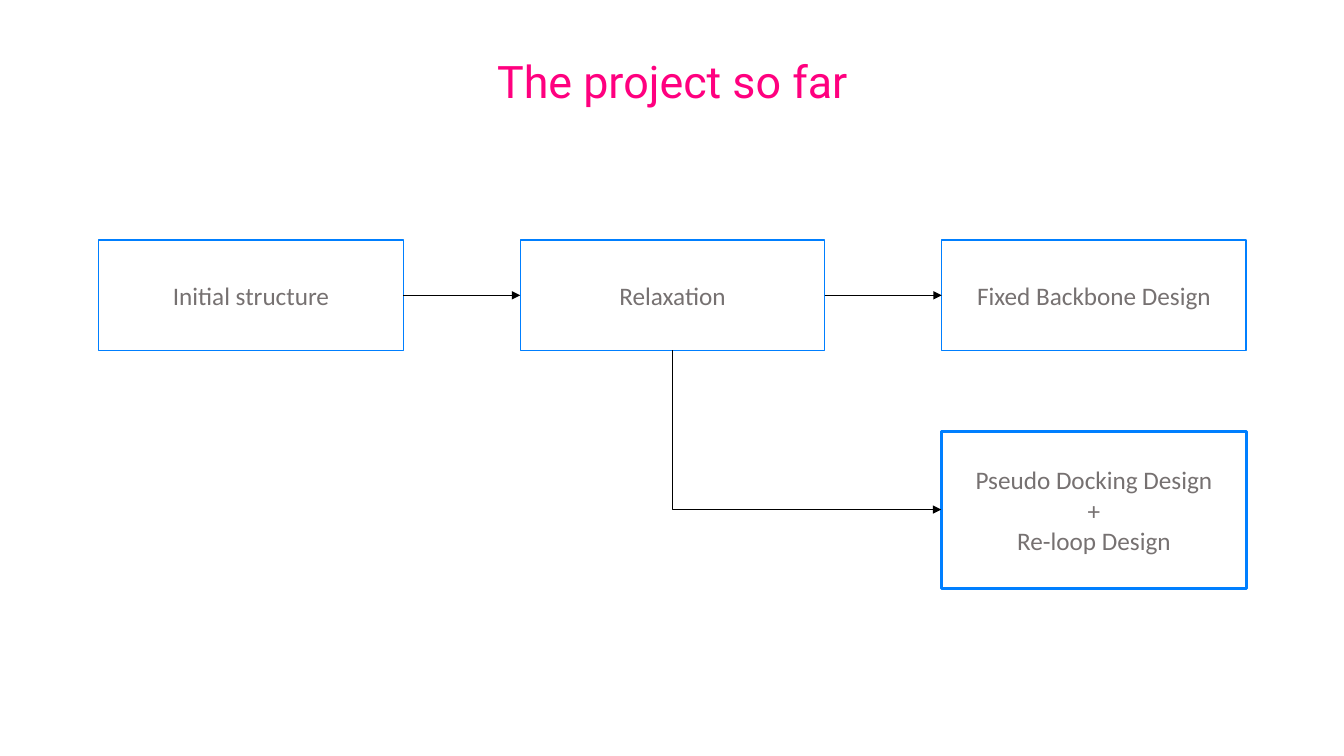
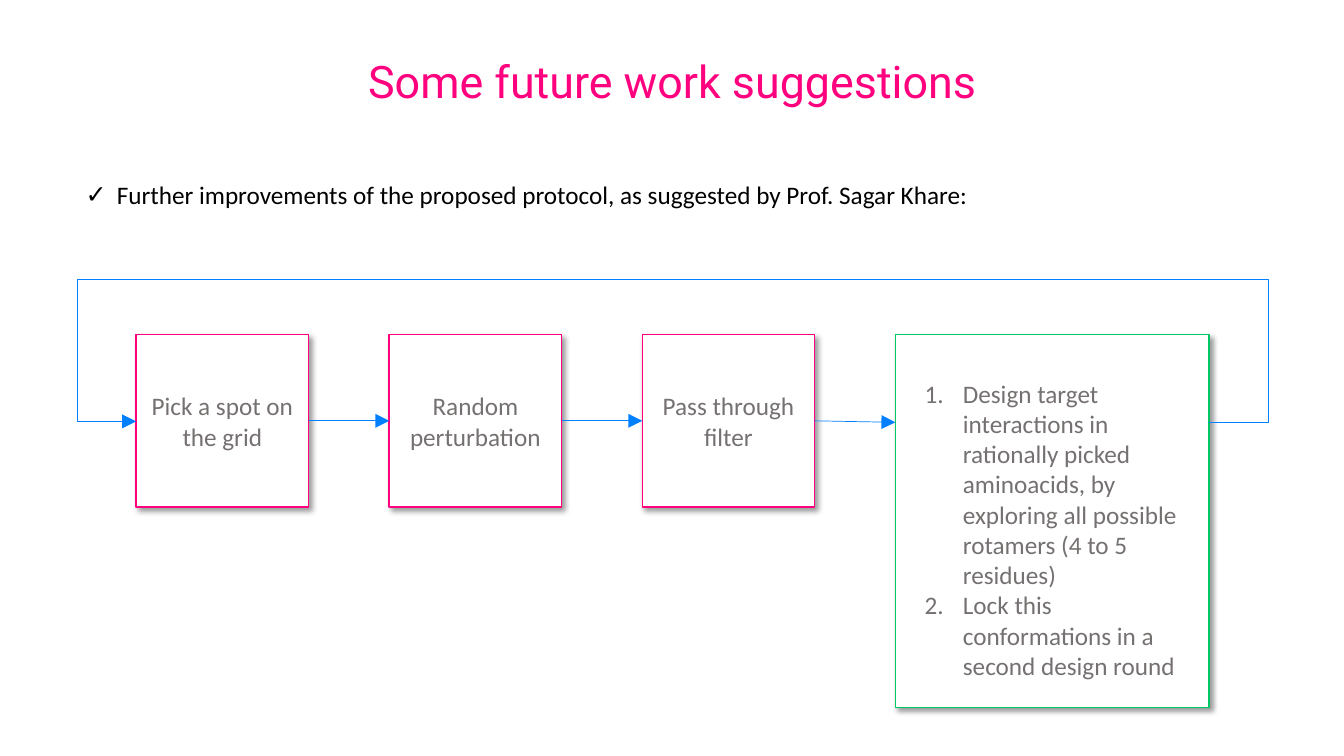
from lxml import etree
from pptx import Presentation
from pptx import util as u
from pptx.dml.color import RGBColor
from pptx.enum import shapes, text
from pptx.oxml import ns

PX = 9144
PINK = RGBColor(0xFF, 0x00, 0x7F)
BLUE = RGBColor(0x00, 0x7F, 0xFF)
GREEN = RGBColor(0x00, 0xC8, 0x64)
GREY = RGBColor(0x76, 0x71, 0x71)
BLACK = RGBColor(0x00, 0x00, 0x00)
WHITE = RGBColor(0xFF, 0xFF, 0xFF)
TITLE_FONT, BODY_FONT = "Roboto", "Calibri"
TITLE_BOX = (240, 48, 854, 64)


def px(*lengths):
    return [u.Emu(length * PX) for length in lengths]


def add_element(parent, tag, **attributes):
    element = etree.SubElement(parent, ns.qn(tag))
    for name, value in attributes.items():
        element.set(name, str(value))
    return element


def place(shape, box):
    shape.left, shape.top, shape.width, shape.height = px(*box)


def write(shape, lines, font, size, color, align, anchor):
    frame = shape.text_frame
    frame.text = "\n".join(lines)
    frame.word_wrap = True
    frame.auto_size = text.MSO_AUTO_SIZE.NONE
    frame.vertical_anchor = anchor
    for paragraph in frame.paragraphs:
        paragraph.alignment = align
        paragraph.space_before = u.Pt(0)
        for span in paragraph.runs:
            span.font.name = font
            span.font.size = u.Pt(size)
            span.font.color.rgb = color


def add_page(deck, layout, title):
    page = deck.slides.add_slide(deck.slide_layouts.get_by_name(layout))
    place(page.shapes.title, TITLE_BOX)
    write(page.shapes.title, [title], TITLE_FONT, 32, PINK,
          text.PP_ALIGN.CENTER, text.MSO_ANCHOR.MIDDLE)
    return page


def fill_list(placeholder, box, lines, color, indent, bullet, **attributes):
    place(placeholder, box)
    write(placeholder, lines, BODY_FONT, 18, color,
          text.PP_ALIGN.LEFT, text.MSO_ANCHOR.TOP)
    for paragraph in placeholder.text_frame.paragraphs:
        properties = paragraph._p.get_or_add_pPr()
        properties.set("marL", str(indent * PX))
        properties.set("indent", str(-indent * PX))
        add_element(properties, bullet, **attributes)


def add_step(page, box, lines, color, width=1, raised=False):
    step = page.shapes.add_shape(shapes.MSO_SHAPE.RECTANGLE, *px(*box))
    step.shadow.inherit = False
    step.line.color.rgb = color
    step.line.width = u.Pt(width)
    if raised:
        step.fill.solid()
        step.fill.fore_color.rgb = WHITE
        effects = step.element.spPr.find(ns.qn("a:effectLst"))
        shadow = add_element(effects, "a:outerShdw", blurRad=u.Pt(4), dist=u.Pt(3),
                             dir=45 * 60000, algn="tl", rotWithShape=0)
        shade = add_element(shadow, "a:srgbClr", val=BLACK)
        add_element(shade, "a:alpha", val=40000)
    else:
        step.fill.background()
    if lines:
        write(step, lines, BODY_FONT, 18, GREY,
              text.PP_ALIGN.CENTER, text.MSO_ANCHOR.MIDDLE)
    return step


def add_arrow(page, color, head, start=(0, 0), end=(0, 0), source=None, target=None,
              kind=shapes.MSO_CONNECTOR.STRAIGHT):
    arrow = page.shapes.add_connector(kind, *px(*start, *end))
    if source:
        arrow.begin_connect(*source)
    if target:
        arrow.end_connect(*target)
    arrow.line.color.rgb = color
    arrow.line.width = u.Pt(0.5)
    add_element(arrow.line._get_or_add_ln(), "a:tailEnd", type="triangle", w=head, len=head)
    add_element(arrow.element.spPr, "a:effectLst")
    return arrow


def reshape_elbow(arrow, preset, box, turn, flip=False, adjustments=()):
    place(arrow, box)
    frame = arrow.element.spPr.find(ns.qn("a:xfrm"))
    for name in ("flipH", "flipV"):
        frame.attrib.pop(name, None)
    frame.set("rot", str(turn * 60000))
    if flip:
        frame.set("flipH", "1")
    geometry = arrow.element.spPr.find(ns.qn("a:prstGeom"))
    geometry.set("prst", preset)
    guides = geometry.find(ns.qn("a:avLst"))
    for number, ratio in enumerate(adjustments, 1):
        add_element(guides, "a:gd", name=f"adj{number}", fmla=f"val {round(ratio * 100000)}")


def add_project_flow(page, left, top):
    width, height, pitch = 302, 110, 418
    names = ("Initial structure", "Relaxation", "Fixed Backbone Design")
    steps = [add_step(page, (left + i * pitch, top, width, height), [name], BLUE)
             for i, name in enumerate(names)]
    docking_left, docking_top, docking_height = left + 2 * pitch, top + 190, 156
    docking = add_step(page, (docking_left, docking_top, width, docking_height),
                       ["Pseudo Docking Design", "+", "Re-loop Design"], BLUE, 2.25)
    for source, target in zip(steps, steps[1:]):
        add_arrow(page, BLACK, "med", source=(source, 3), target=(target, 1))
    branch = add_arrow(page, BLACK, "med", source=(steps[1], 2), target=(docking, 1),
                       kind=shapes.MSO_CONNECTOR.ELBOW)
    start_x, start_y = left + pitch + width // 2, top + height
    run = docking_left - start_x
    drop = docking_top + docking_height // 2 - start_y
    box = (start_x + (run - drop) // 2, start_y + (drop - run) // 2, drop, run)
    reshape_elbow(branch, "bentConnector2", box, 270, flip=True)


def add_design_loop(page, left, top, design_list):
    side, pitch, design_width, design_height = 171, 251, 311, 370
    names = ("Pick a spot on the grid", "Random perturbation", "Pass through filter")
    steps = [add_step(page, (left + i * pitch, top, side, side), [name], PINK, raised=True)
             for i, name in enumerate(names)]
    design_left = left + 3 * pitch
    add_step(page, (design_left, top, design_width, design_height), [], GREEN, raised=True)
    for source, target in zip(steps, steps[1:]):
        add_arrow(page, BLUE, "lg", source=(source, 3), target=(target, 1))
    middle = top + side // 2 + 1
    add_arrow(page, BLUE, "lg", end=(design_left, middle + 1), source=(steps[-1], 3))
    span, rise, margin = design_left + design_width - left, 144, 59
    loop = add_arrow(page, BLUE, "lg", (left + span, middle + 1), (left, middle),
                     kind=shapes.MSO_CONNECTOR.ELBOW)
    reshape_elbow(loop, "bentConnector5", (left, middle, span, 1), 180,
                  adjustments=(-margin / span, rise, 1 + margin / span))
    fill_list(design_list, (design_left + 19, top + 38, 275, 343), [
        "Design target interactions in rationally picked aminoacids, "
        "by exploring all possible rotamers (4 to 5 residues)",
        "Lock this conformations in a second design round",
    ], GREY, 38, "a:buAutoNum", type="arabicPeriod")
    page.shapes.element.append(design_list.element)


def main():
    deck = Presentation()
    deck.slide_width, deck.slide_height = px(1333, 750)

    project = add_page(deck, "Title Only", "The project so far")
    add_project_flow(project, 98, 238)

    future = add_page(deck, "Two Content", "Some future work suggestions")
    intro, design_list = list(future.placeholders)[1:]
    fill_list(intro, (75, 173, 1160, 40), [
        "Further improvements of the proposed protocol, as suggested by Prof. Sagar Khare:",
    ], BLACK, 31, "a:buChar", char="✓")
    add_design_loop(future, 135, 332, design_list)

    deck.save("out.pptx")


if __name__ == "__main__":
    main()
